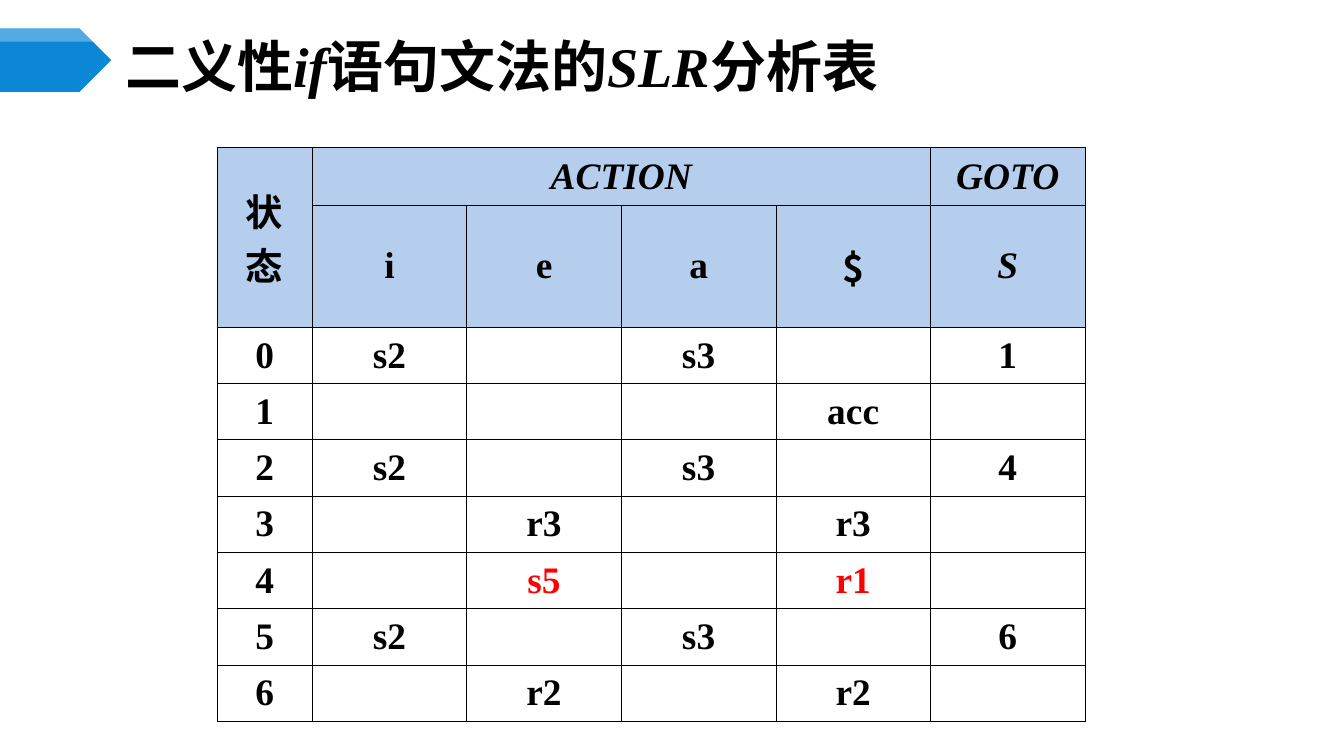
from collections import namedtuple
from dataclasses import dataclass

from lxml.etree import SubElement
from pptx import Presentation
from pptx.dml.color import RGBColor
from pptx.enum.shapes import MSO_SHAPE
from pptx.enum.text import MSO_ANCHOR, MSO_AUTO_SIZE, PP_ALIGN
from pptx.oxml import parse_xml
from pptx.oxml.ns import nsdecls, qn
from pptx.util import Pt

Box = namedtuple("Box", "left top width height")


@dataclass(frozen=True)
class Theme:
    cjk: str = "Noto Sans CJK SC"
    latin: str = "Times New Roman"
    ink: str = "000000"
    conflict: str = "FF0000"
    arrow: str = "0B87D6"
    highlight: str = "FFFFFF"
    header: str = "B5CEED"
    title_size: float = 30
    table_size: float = 20
    border: float = 0.45


THEME = Theme()

TITLE = [("二义性", False), ("if", True), ("语句文法的", False),
         ("SLR", True), ("分析表", False)]
HEADINGS = [["状态", "ACTION", "", "", "", "GOTO"],
            ["", "i", "e", "a", "$", "S"]]
STATES = [["0", "s2", "", "s3", "", "1"],
          ["1", "", "", "", "acc", ""],
          ["2", "s2", "", "s3", "", "4"],
          ["3", "", "r3", "", "r3", ""],
          ["4", "", "s5", "", "r1", ""],
          ["5", "s2", "", "s3", "", "6"],
          ["6", "", "r2", "", "r2", ""]]
ITALIC = {"ACTION", "GOTO", "S"}
CJK = {"状态", "$"}
CONFLICTS = {"s5", "r1"}


def add_run(paragraph, text, size, font, italic=False, color=THEME.ink):
    run = paragraph.add_run()
    run.text = text
    run.font.size = Pt(size)
    run.font.name = font
    run.font.bold = True
    run.font.italic = italic
    run.font.color.rgb = RGBColor.from_string(color)
    SubElement(run.font._element, qn("a:ea")).set("typeface", font)


def add_arrow(slide, box):
    """Blue arrow at the left edge with a translucent upper band."""
    band_height = 7.2
    for height, color in ((box.height, THEME.arrow), (band_height, THEME.highlight)):
        arrow = slide.shapes.add_shape(
            MSO_SHAPE.PENTAGON, Pt(box.left), Pt(box.top), Pt(box.width), Pt(height))
        arrow.shadow.inherit = False
        arrow.fill.solid()
        arrow.fill.fore_color.rgb = RGBColor.from_string(color)
        arrow.line.fill.background()
    # The band, drawn last, lets the arrow show through
    band_color = arrow._element.spPr.find(qn("a:solidFill"))[0]
    SubElement(band_color, qn("a:alpha")).set("val", "30000")


def fill_title(slide, box):
    title = slide.shapes.title
    title.left, title.top, title.width, title.height = map(Pt, box)
    frame = title.text_frame
    frame.word_wrap = True
    frame.auto_size = MSO_AUTO_SIZE.NONE
    frame.vertical_anchor = MSO_ANCHOR.MIDDLE
    paragraph = frame.paragraphs[0]
    paragraph.alignment = PP_ALIGN.LEFT
    for text, is_symbol in TITLE:
        font = THEME.latin if is_symbol else THEME.cjk
        add_run(paragraph, text, THEME.title_size, font, is_symbol)


def set_borders(cell):
    properties = cell._tc.get_or_add_tcPr()
    for position, side in enumerate("LRTB"):
        properties.insert(position, parse_xml(
            f'<a:ln{side} {nsdecls("a")} w="{Pt(THEME.border)}"><a:solidFill>'
            f'<a:srgbClr val="{THEME.ink}"/></a:solidFill></a:ln{side}>'))


def fill_cell(cell, text, is_header):
    if is_header:
        cell.fill.solid()
        cell.fill.fore_color.rgb = RGBColor.from_string(THEME.header)
    else:
        cell.fill.background()
    set_borders(cell)
    cell.vertical_anchor = MSO_ANCHOR.MIDDLE
    if not text:
        return
    paragraph = cell.text_frame.paragraphs[0]
    paragraph.alignment = PP_ALIGN.CENTER
    if text not in HEADINGS[0][1:]:
        paragraph.space_before = Pt(5)
    add_run(paragraph, text, THEME.table_size,
            THEME.cjk if text in CJK else THEME.latin,
            text in ITALIC,
            THEME.conflict if text in CONFLICTS else THEME.ink)


def add_parse_table(slide, box):
    rows = HEADINGS + STATES
    columns = len(rows[0])
    table = slide.shapes.add_table(len(rows), columns, *map(Pt, box)).table
    table.first_row = table.horz_banding = False

    # Narrow state column, equal symbol columns; two headings, equal state rows
    state_width = 51.1
    heading_heights = [31, 53.3]
    symbol_width = (box.width - state_width) / (columns - 1)
    state_height = (box.height - sum(heading_heights)) / len(STATES)
    for column, width in zip(table.columns, [state_width] + [symbol_width] * (columns - 1)):
        column.width = Pt(width)
    for row, height in zip(table.rows, heading_heights + [state_height] * len(STATES)):
        row.height = Pt(height)

    table.cell(0, 0).merge(table.cell(1, 0))
    table.cell(0, 1).merge(table.cell(0, 4))
    for r, row in enumerate(rows):
        for c, text in enumerate(row):
            fill_cell(table.cell(r, c), text, r < len(HEADINGS))


def main():
    presentation = Presentation()
    presentation.slide_width = Pt(720)
    presentation.slide_height = Pt(405)
    slide = presentation.slides.add_slide(presentation.slide_layouts[5])
    add_arrow(slide, Box(0, 15.2, 59.6, 34))
    fill_title(slide, Box(60, 21, 624, 28))
    add_parse_table(slide, Box(116.2, 79, 465.1, 295.5))
    presentation.save("out.pptx")


if __name__ == "__main__":
    main()
